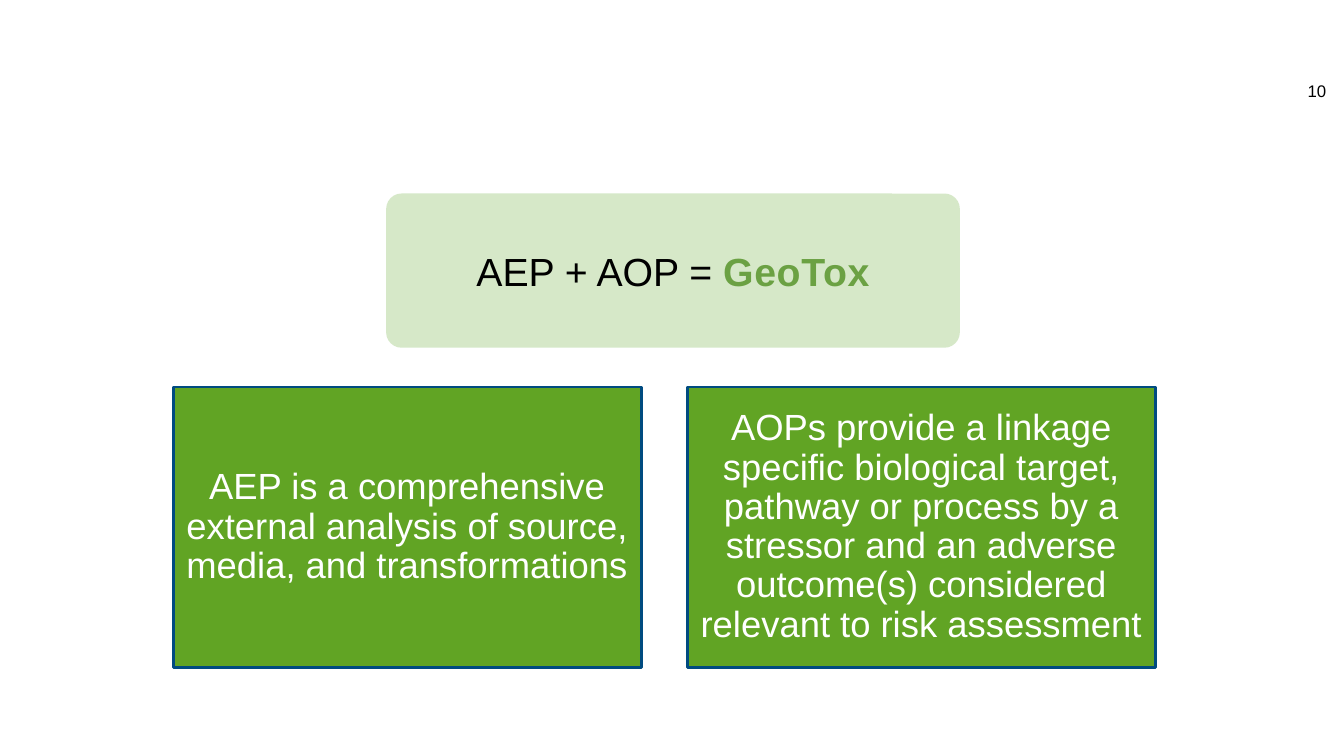
from lxml import etree
from pptx import Presentation
from pptx.dml.color import RGBColor
from pptx.enum.shapes import MSO_SHAPE as Shape
from pptx.enum.text import MSO_ANCHOR as Anchor, PP_ALIGN as Align
from pptx.oxml.ns import qn
from pptx.util import Inches, Pt

WHITE = RGBColor(0xFF, 0xFF, 0xFF)
BLACK = RGBColor(0, 0, 0)
GREEN = RGBColor(0x61, 0xA4, 0x24)
PALE = RGBColor(0xC3, 0xDE, 0xAF)
LEAF = RGBColor(0x6B, 0xA1, 0x43)
NAVY = RGBColor(0x00, 0x4B, 0x80)

WIDE, HIGH = 13.33, 7.5
CARDS = (
    "AEP is a comprehensive external analysis of source, media, and transformations",
    "AOPs provide a linkage specific biological target, pathway or process by a "
    "stressor and an adverse outcome(s) considered relevant to risk assessment",
)


def write(para, text, size=26, color=WHITE, bold=False, gap=0):
    """Add a run; gap is letter spacing in points."""
    run = para.add_run()
    run.text = text
    font = run.font
    font.name, font.size, font.bold = "Arial", Pt(size), bold
    font.color.rgb = color
    if gap:
        font._element.set("spc", str(round(gap * 100)))


def panel(slide, kind, box, fill, inset=0.1):
    """Add a filled shape; return it with its centred paragraph."""
    shape = slide.shapes.add_shape(kind, *map(Inches, box))
    shape.shadow.inherit = False
    shape.fill.solid()
    shape.fill.fore_color.rgb = fill
    shape.line.fill.background()
    frame = shape.text_frame
    frame.word_wrap = True
    frame.vertical_anchor = Anchor.MIDDLE
    frame.margin_left = frame.margin_right = Inches(inset)
    frame.margin_top = frame.margin_bottom = Inches(inset)
    para = frame.paragraphs[0]
    para.alignment = Align.CENTER
    return shape, para


def number(slide, box):
    frame = slide.shapes.add_textbox(*map(Inches, box)).text_frame
    frame.word_wrap = True
    write(frame.paragraphs[0], "10", size=12, color=BLACK)


def cards(slide, box, gap=0.46):
    """Split the box into equal columns, one card in each."""
    left, top, width, height = box
    col = (width - gap * (len(CARDS) - 1)) / len(CARDS)
    for i, text in enumerate(CARDS):
        place = (left + i * (col + gap), top, col, height)
        shape, para = panel(slide, Shape.RECTANGLE, place, GREEN, inset=0.11)
        shape.line.color.rgb = NAVY
        shape.line.width = Pt(2)
        para.line_spacing = 0.9
        write(para, text)


def banner(slide, box):
    shape, para = panel(slide, Shape.ROUNDED_RECTANGLE, box, PALE)
    shape.adjustments[0] = 0.1
    # Let the background show through the fill
    tint = shape._element.spPr.find(qn("a:solidFill"))[0]
    etree.SubElement(tint, qn("a:alpha")).set("val", "68000")
    write(para, "AEP + AOP = ", size=28, color=BLACK)
    write(para, "GeoTox", size=28, color=LEAF, bold=True, gap=0.5)


def main():
    deck = Presentation()
    deck.slide_width, deck.slide_height = Inches(WIDE), Inches(HIGH)
    slide = deck.slides.add_slide(deck.slide_layouts[6])
    number(slide, (WIDE - 0.46, HIGH * 0.1, 0.4, 0.3))
    cards(slide, (1.72, 3.84, 9.74, 2.78))
    banner(slide, (3.83, 1.92, 5.69, 1.53))
    deck.save("out.pptx")


if __name__ == "__main__":
    main()
